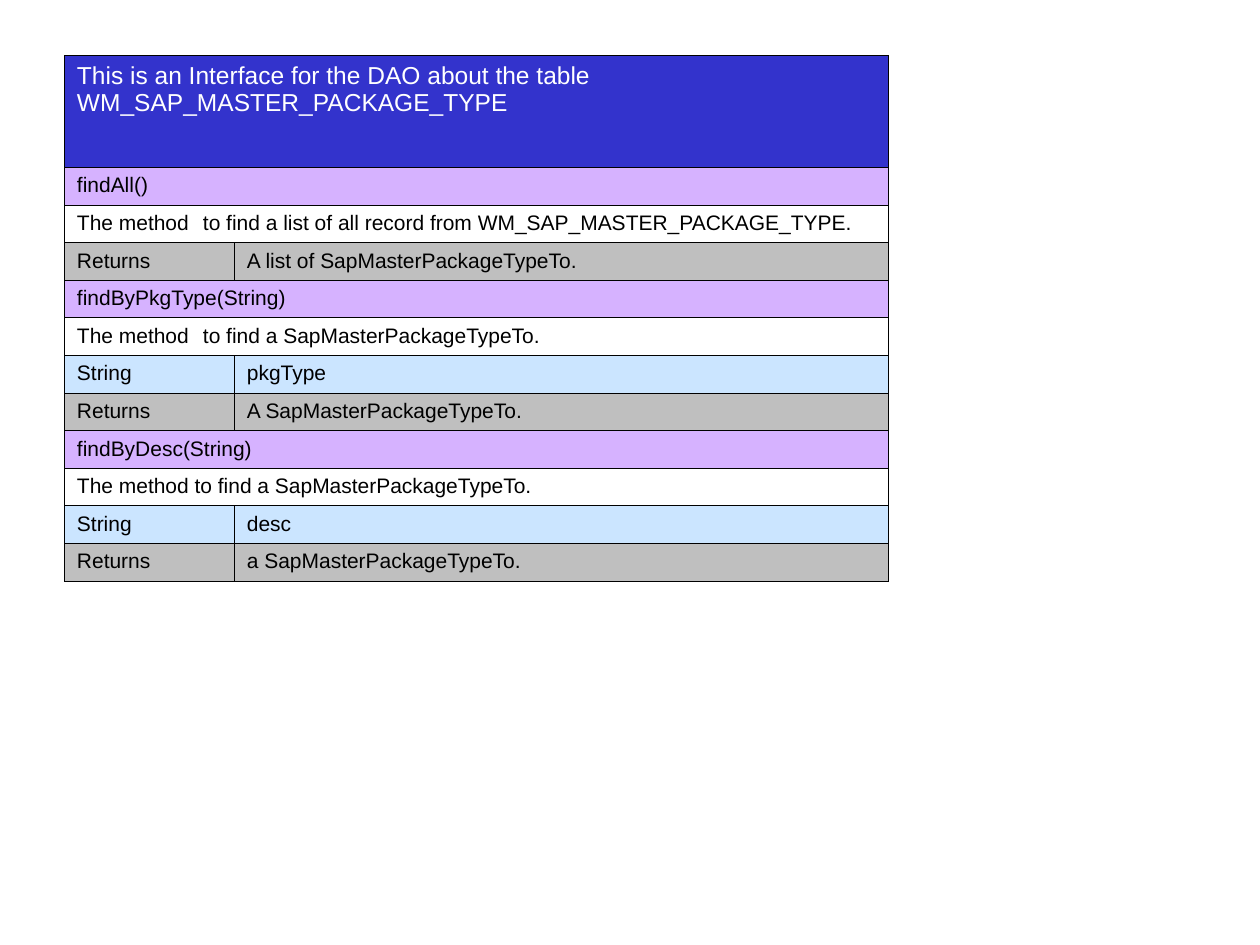
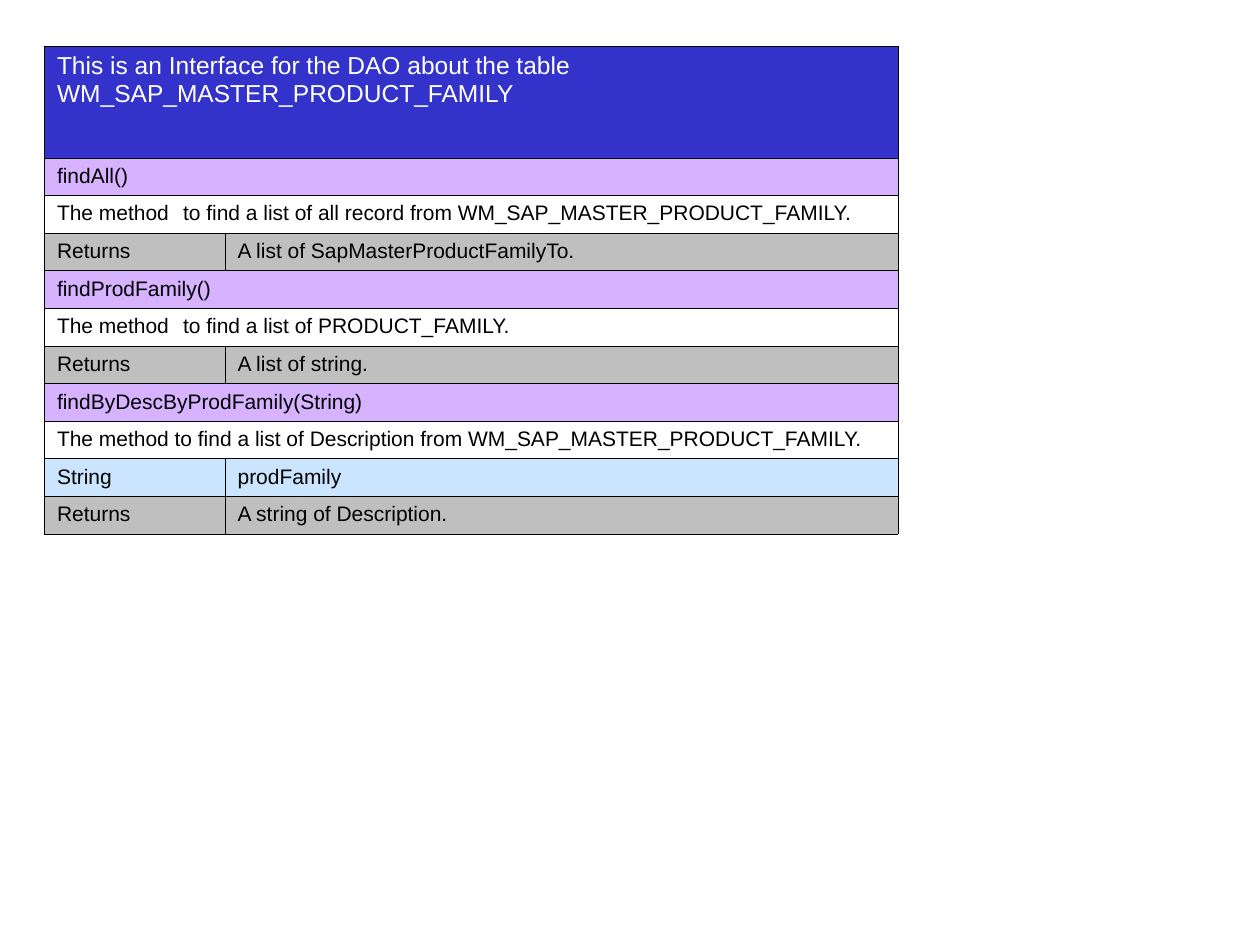
import pptx
import pptx.dml.color
import pptx.oxml
import pptx.oxml.ns
import pptx.util

# Content: each interface lists its methods as (signature, purpose, parameters, result)
INTERFACES = [
    {
        "left": 36.8, "top": 31.7, "columns": (97.1, 373.8),
        "heading": "This is an Interface for the DAO about the table WM_SAP_MASTER_PACKAGE_TYPE",
        "methods": [
            ("findAll()",
             "The method \tto find a list of all record from WM_SAP_MASTER_PACKAGE_TYPE.",
             [], "A list of SapMasterPackageTypeTo."),
            ("findByPkgType(String)",
             "The method \tto find a SapMasterPackageTypeTo.",
             [("String", "pkgType")], "A SapMasterPackageTypeTo."),
            ("findByDesc(String)",
             "The method to find a SapMasterPackageTypeTo.",
             [("String", "desc")], "a SapMasterPackageTypeTo."),
        ],
    },
    {
        "left": 25.4, "top": 26.3, "columns": (103.2, 384.6),
        "heading": "This is an Interface for the DAO about the table WM_SAP_MASTER_PRODUCT_FAMILY",
        "methods": [
            ("findAll()",
             "The method \tto find a list of all record from WM_SAP_MASTER_PRODUCT_FAMILY.",
             [], "A list of SapMasterProductFamilyTo."),
            ("findProdFamily()",
             "The method \tto find a list of PRODUCT_FAMILY.",
             [], "A list of string."),
            ("findByDescByProdFamily(String)",
             "The method to find a list of Description from WM_SAP_MASTER_PRODUCT_FAMILY.",
             [("String", "prodFamily")], "A string of Description."),
        ],
    },
]

# Shared look: row role -> (fill, opacity in percent, text colour, size)
STYLES = {
    "heading": ("3333CC", 100, "FFFFFF", 14),
    "signature": ("AF67FF", 50, "000000", 12),
    "purpose": (None, 100, "000000", 12),
    "parameter": ("99CCFF", 50, "000000", 12),
    "returns": ("808080", 50, "000000", 12),
}
FONT = "Arial"
BORDER_COLOUR, BORDER_WIDTH = "000000", 0.45
HEADING_HEIGHT, ROW_HEIGHT = 64, 21.5
TAB_STEP, TAB_COUNT = 72, 8


def colour(hex_code):
    return pptx.dml.color.RGBColor.from_string(hex_code)


def element(xml):
    """Parse a fragment whose first tag is in the drawing namespace."""
    tag, rest = xml.split(" ", 1) if " " in xml.split(">")[0] else xml.split(">", 1)
    joint = " " if " " in xml.split(">")[0] else ">"
    return pptx.oxml.parse_xml(f"{tag} {pptx.oxml.ns.nsdecls('a')}{joint}{rest}")


def draw_borders(cell):
    properties = cell._tc.get_or_add_tcPr()
    for side in ("lnL", "lnR", "lnT", "lnB"):
        properties.append(element(
            f'<a:{side} w="{pptx.util.Pt(BORDER_WIDTH)}"><a:solidFill>'
            f'<a:srgbClr val="{BORDER_COLOUR}"/></a:solidFill></a:{side}>'))


def fill_cell(cell, fill, opacity):
    if fill is None:
        cell.fill.background()
        return
    cell.fill.solid()
    cell.fill.fore_color.rgb = colour(fill)
    if opacity < 100:
        shade = cell._tc.tcPr.find(".//" + pptx.oxml.ns.qn("a:solidFill") + "[last()]")
        shade = cell._tc.tcPr.findall(pptx.oxml.ns.qn("a:solidFill"))[0]
        shade[0].append(element(f'<a:alpha val="{opacity * 1000}"/>'))


def write_cell(cell, text, text_colour, size):
    paragraph = cell.text_frame.paragraphs[0]
    paragraph.text = text
    stops = "".join(f'<a:tab pos="{pptx.util.Pt(TAB_STEP * i)}" algn="l"/>'
                    for i in range(TAB_COUNT))
    paragraph._p.get_or_add_pPr().append(element(f"<a:tabLst>{stops}</a:tabLst>"))
    paragraph.font.name = FONT
    paragraph.font.size = pptx.util.Pt(size)
    paragraph.font.color.rgb = colour(text_colour)


def interface_rows(interface):
    """List the table rows as (role, texts); one text spans both columns."""
    rows = [("heading", (interface["heading"],))]
    for signature, purpose, parameters, result in interface["methods"]:
        rows += [("signature", (signature,)), ("purpose", (purpose,))]
        rows += [("parameter", parameter) for parameter in parameters]
        rows.append(("returns", ("Returns", result)))
    return rows


def add_interface(slide, interface):
    rows = interface_rows(interface)
    widths = interface["columns"]
    height = HEADING_HEIGHT + ROW_HEIGHT * (len(rows) - 1)
    methods = slide.shapes.add_table(
        len(rows), len(widths),
        pptx.util.Pt(interface["left"]), pptx.util.Pt(interface["top"]),
        pptx.util.Pt(sum(widths)), pptx.util.Pt(height)).table
    methods.first_row = methods.horz_banding = False
    for column, width in zip(methods.columns, widths):
        column.width = pptx.util.Pt(width)

    for row, (role, texts) in enumerate(rows):
        fill, opacity, text_colour, size = STYLES[role]
        methods.rows[row].height = pptx.util.Pt(
            HEADING_HEIGHT if role == "heading" else ROW_HEIGHT)
        if len(texts) == 1:
            methods.cell(row, 0).merge(methods.cell(row, 1))
        for cell in methods.rows[row].cells:
            draw_borders(cell)
            fill_cell(cell, fill, opacity)
        for column, text in enumerate(texts):
            write_cell(methods.cell(row, column), text, text_colour, size)


def main():
    deck = pptx.Presentation()
    deck.slide_width, deck.slide_height = pptx.util.Pt(720), pptx.util.Pt(540)
    blank = deck.slide_layouts[6]
    for interface in INTERFACES:
        add_interface(deck.slides.add_slide(blank), interface)
    deck.save("out.pptx")


if __name__ == "__main__":
    main()
